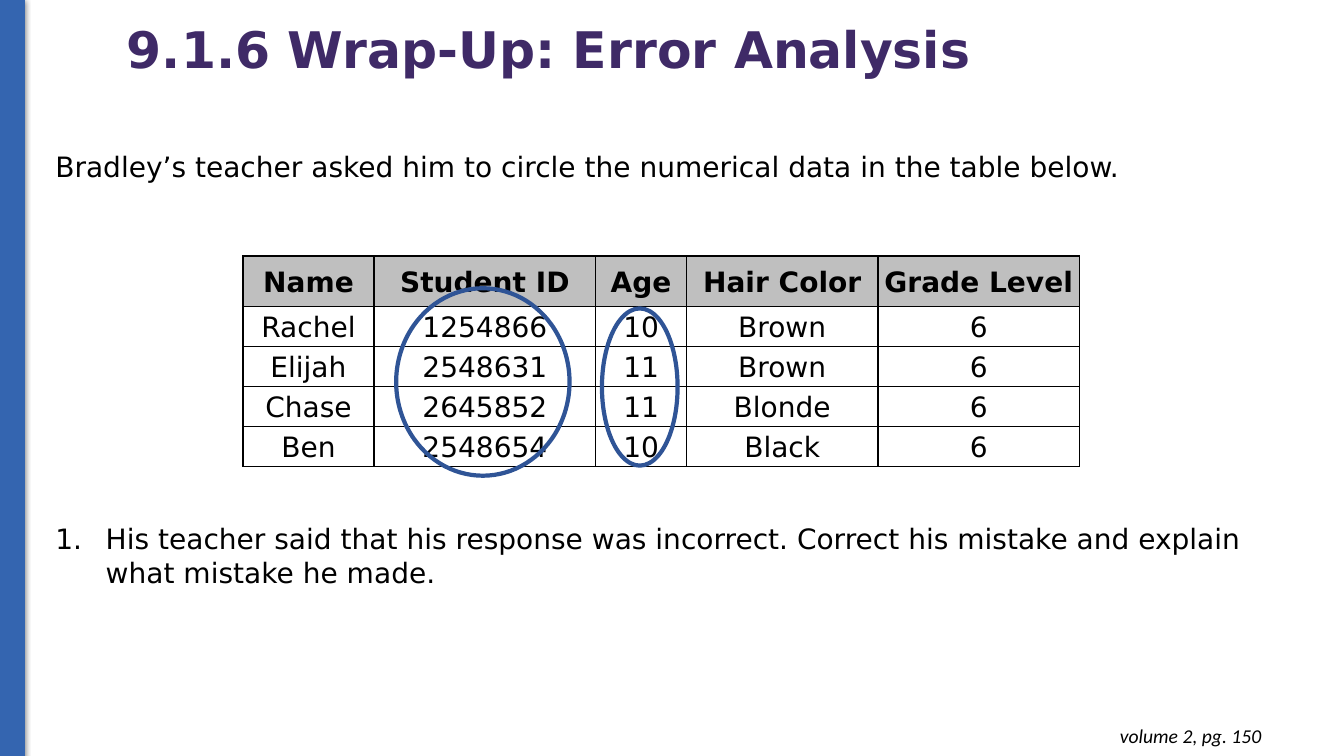
from pptx import Presentation
from pptx.dml.color import RGBColor as Rgb
from pptx.enum.shapes import MSO_SHAPE as Kind
from pptx.enum.text import MSO_ANCHOR as Anchor, PP_ALIGN as Align
from pptx.oxml import parse_xml as to_xml
from pptx.oxml.ns import nsdecls
from pptx.util import Inches, Pt

WIDE, HIGH = 13.33, 7.5
SANS = "DejaVu Sans"
HUES = {
    "bar": "3465B0",
    "title": "3F2A67",
    "text": "000000",
    "head": "BFBFBF",
    "ring": "2F5496",
}
COLS = [9.75, 16.5, 6.75, 14.25, 15]
ROWS = [6.67] + [5.3] * 4
DATA = [
    ["Name", "Student ID", "Age", "Hair Color", "Grade Level"],
    ["Rachel", "1254866", "10", "Brown", "6"],
    ["Elijah", "2548631", "11", "Brown", "6"],
    ["Chase", "2645852", "11", "Blonde", "6"],
    ["Ben", "2548654", "10", "Black", "6"],
]


def across(share):
    return Inches(WIDE * share / 100)


def down(share):
    return Inches(HIGH * share / 100)


def place(left, top, width, height):
    return across(left), down(top), across(width), down(height)


def hue(name):
    return Rgb.from_string(HUES[name])


def add_run(para, text, size, color="text", face=SANS, bold=False, slant=False):
    run = para.add_run()
    run.text = text
    font = run.font
    font.name, font.size = face, Pt(size)
    font.bold, font.italic = bold, slant
    font.color.rgb = hue(color)


def add_box(slide, *area, anchor=Anchor.TOP, inset=0.05):
    frame = slide.shapes.add_textbox(*place(*area)).text_frame
    frame.word_wrap = True
    frame.vertical_anchor = anchor
    frame.margin_top = frame.margin_bottom = Inches(inset)
    return frame


def add_bar(slide):
    bar = slide.shapes.add_shape(Kind.RECTANGLE, *place(0, -0.1, 1.8, 100.2))
    bar.fill.solid()
    bar.fill.fore_color.rgb = hue("bar")
    bar.line.color.rgb = hue("bar")
    bar.line.width = Pt(0.75)
    bar.shadow.inherit = False
    bar.element.spPr.find("{*}effectLst").append(to_xml(
        f'<a:outerShdw {nsdecls("a")} blurRad="{Pt(4.5)}" dist="{Pt(1.5)}" '
        f'dir="5400000" rotWithShape="0"><a:srgbClr val="{HUES["text"]}">'
        '<a:alpha val="50000"/></a:srgbClr></a:outerShdw>'))


def add_ring(slide, *area):
    ring = slide.shapes.add_shape(Kind.OVAL, *place(*area))
    ring.fill.background()
    ring.line.color.rgb = hue("ring")
    ring.line.width = Pt(3)
    ring.shadow.inherit = False


def number(para):
    props = para._p.get_or_add_pPr()
    props.set("marL", str(Inches(0.5)))
    props.set("indent", str(Inches(-0.5)))
    for part in (
        f'<a:buClr {nsdecls("a")}><a:srgbClr val="{HUES["text"]}"/></a:buClr>',
        f'<a:buFont {nsdecls("a")} typeface="{SANS}"/>',
        f'<a:buAutoNum {nsdecls("a")} type="arabicPeriod"/>',
    ):
        props.append(to_xml(part))


def edge(cell):
    props = cell._tc.get_or_add_tcPr()
    for side in ("lnL", "lnR", "lnT", "lnB"):
        props.append(to_xml(
            f'<a:{side} {nsdecls("a")} w="{Pt(1)}"><a:solidFill>'
            f'<a:srgbClr val="{HUES["text"]}"/></a:solidFill></a:{side}>'))


def fill_cell(cell, text, head):
    edge(cell)
    if head:
        cell.fill.solid()
        cell.fill.fore_color.rgb = hue("head")
    else:
        cell.fill.background()
    cell.vertical_anchor = Anchor.MIDDLE
    cell.margin_left = cell.margin_right = Inches(0.03)
    cell.margin_top = cell.margin_bottom = Inches(0.02)
    para = cell.text_frame.paragraphs[0]
    para.alignment = Align.CENTER
    para.line_spacing = 1.07
    add_run(para, text, 20, bold=head)


def add_grid(slide, left, top):
    area = place(left, top, sum(COLS), sum(ROWS))
    grid = slide.shapes.add_table(len(ROWS), len(COLS), *area).table
    grid.first_row = grid.horz_banding = False
    for col, share in zip(grid.columns, COLS):
        col.width = across(share)
    for row, share, words in zip(grid.rows, ROWS, DATA):
        row.height = down(share)
        for cell, text in zip(row.cells, words):
            fill_cell(cell, text, words is DATA[0])


def add_title(slide):
    frame = add_box(slide, 8.7, -2.8, 79.5, 19.33, anchor=Anchor.MIDDLE)
    para = frame.paragraphs[0]
    para.line_spacing = 0.9
    add_run(para, "9.1.6 Wrap-Up: Error Analysis", 36, "title", bold=True)


def add_task(slide):
    frame = add_box(slide, 3.38, 19.07, 95.05, 59.73)
    add_run(frame.paragraphs[0], "Bradley’s teacher asked him to circle the "
            "numerical data in the table below.", 20)
    para = frame.add_paragraph()
    number(para)
    para.space_before = Pt(242)
    add_run(para, "His teacher said that his response was incorrect. Correct "
            "his mistake and explain what mistake he made.", 20)


def add_foot(slide):
    para = add_box(slide, 73, 94.4, 21.6, 5.87, inset=0.1).paragraphs[0]
    para.alignment = Align.RIGHT
    add_run(para, "volume 2, pg. 150", 14, face="Calibri", slant=True)


def main():
    deck = Presentation()
    deck.slide_width, deck.slide_height = Inches(WIDE), Inches(HIGH)
    slide = deck.slides.add_slide(deck.slide_layouts[6])
    add_bar(slide)
    add_title(slide)
    add_task(slide)
    add_grid(slide, 18.08, 33.87)
    add_ring(slide, 29.48, 38.13, 12.9, 24.8)
    add_ring(slide, 44.79, 40.8, 5.63, 20.8)
    add_foot(slide)
    deck.save("out.pptx")


if __name__ == "__main__":
    main()
